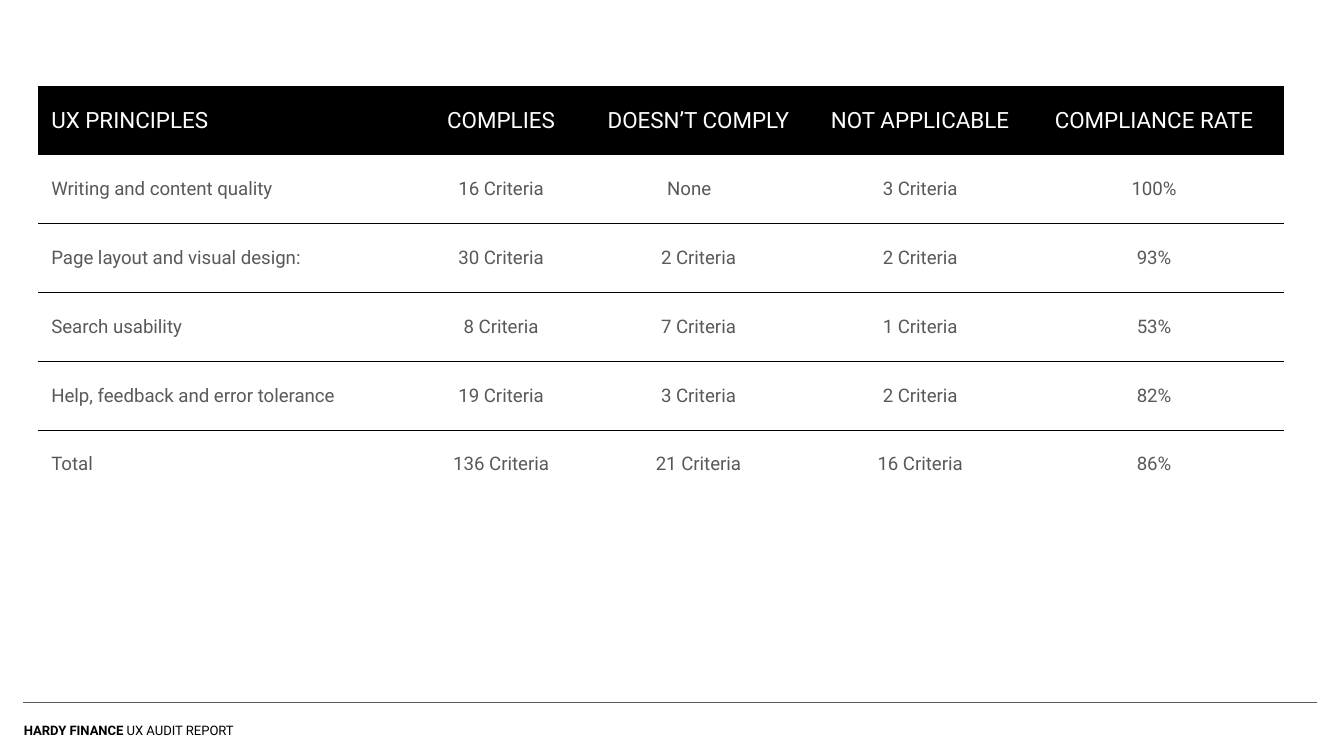
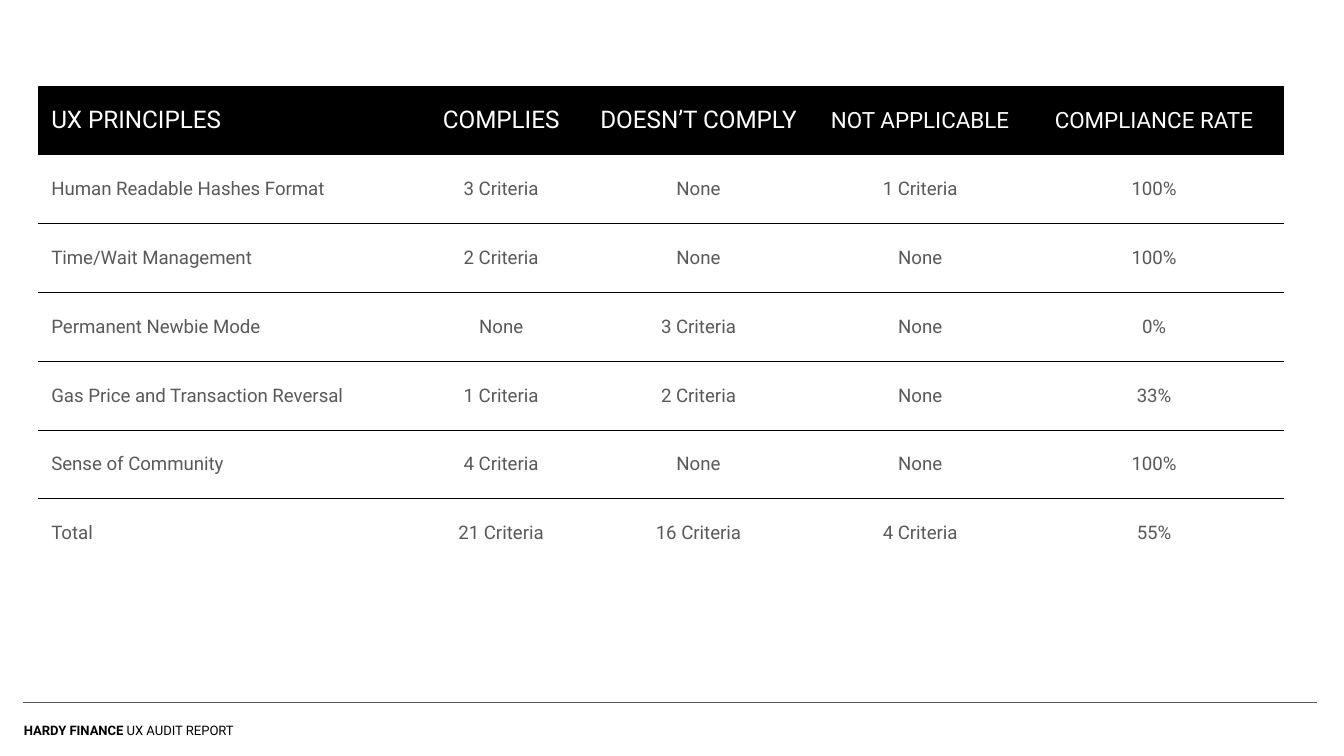
from dataclasses import dataclass
from typing import Any

import pptx
import pptx.dml.color
import pptx.enum.shapes
import pptx.enum.text
import pptx.oxml
import pptx.oxml.ns
import pptx.slide
import pptx.table
import pptx.text.text
import pptx.util

Cm = pptx.util.Cm
Pt = pptx.util.Pt
Align = pptx.enum.text.PP_ALIGN

HUES = {"ink": "000000", "paper": "FFFFFF", "text": "595959"}
FONT = "Roboto"
PLAIN = "{2D5ABB26-0587-4C30-8999-92F81FD0307C}"  # table style without grid

LEFT, TOP, ROW = 0.72, 1.63, 1.3
WIDTHS = (7.24, 3.02, 4.44, 3.94, 4.9)
HEADS = ("UX PRINCIPLES", "COMPLIES", "DOESN’T COMPLY",
         "NOT APPLICABLE", "COMPLIANCE RATE")
PAD = 0.25
FOOT = 13.28
INDENT = 1.63


@dataclass(frozen=True)
class Audit:
    sizes: tuple[int, ...]
    rows: tuple[tuple[str, ...], ...]
    indents: tuple[tuple[int, int], ...] = ()


AUDITS = (
    Audit(
        (12, 12, 12, 12, 12),
        (
            ("Writing and content quality", "16 Criteria", "None", "3 Criteria", "100%"),
            ("Page layout and visual design:", "30 Criteria", "2 Criteria", "2 Criteria", "93%"),
            ("Search usability", "8 Criteria", "7 Criteria", "1 Criteria", "53%"),
            ("Help, feedback and error tolerance", "19 Criteria", "3 Criteria", "2 Criteria", "82%"),
            ("Total", "136 Criteria", "21 Criteria", "16 Criteria", "86%"),
        ),
        indents=((1, 2),),
    ),
    Audit(
        (13, 13, 13, 12, 12),
        (
            ("Human Readable Hashes Format", "3 Criteria", "None", "1 Criteria", "100%"),
            ("Time/Wait Management", "2 Criteria", "None", "None", "100%"),
            ("Permanent Newbie Mode", "None", "3 Criteria", "None", "0%"),
            ("Gas Price and Transaction Reversal", "1 Criteria", "2 Criteria", "None", "33%"),
            ("Sense of Community", "4 Criteria", "None", "None", "100%"),
            ("Total", "21 Criteria", "16 Criteria", "4 Criteria", "55%"),
        ),
    ),
)


def style(item: Any, values: dict[str, Any]) -> None:
    for name, value in values.items():
        setattr(item, name, value)


def hue(name: str) -> pptx.dml.color.RGBColor:
    return pptx.dml.color.RGBColor.from_string(HUES[name])


def add_run(para: Any, text: str, size: int, tint: str, bold: bool = False) -> None:
    run = para.add_run()
    run.text = text
    style(run.font, {"name": FONT, "size": Pt(size), "bold": bold})
    run.font.color.rgb = hue(tint)


def set_cell(cell: Any, text: str, size: int, tint: str,
             first: bool, head: bool, indent: bool) -> None:
    side = PAD if first or head else 0
    rim = 0.18 if head else 0
    style(cell, {
        "margin_left": Cm(INDENT if indent else side),
        "margin_right": Cm(side),
        "margin_top": Cm(rim),
        "margin_bottom": Cm(rim),
        "vertical_anchor": pptx.enum.text.MSO_ANCHOR.MIDDLE,
    })
    para = cell.text_frame.paragraphs[0]
    para.alignment = Align.LEFT if first or indent else Align.CENTER
    add_run(para, text, size, tint)
    if head:
        cell.fill.solid()
        cell.fill.fore_color.rgb = hue("ink")
    else:
        cell.fill.background()


def rule_off(cell: Any) -> None:
    """Draw a line below the cell."""
    line = pptx.oxml.parse_xml(
        f'<a:lnB {pptx.oxml.ns.nsdecls("a")} w="{Pt(0.75)}"><a:solidFill>'
        f'<a:srgbClr val="{HUES["ink"]}"/></a:solidFill></a:lnB>')
    cell._tc.get_or_add_tcPr().insert(0, line)


def add_audit(slide: pptx.slide.Slide, audit: Audit) -> None:
    count = len(audit.rows) + 1
    frame = slide.shapes.add_table(
        count, len(WIDTHS), Cm(LEFT), Cm(TOP), Cm(sum(WIDTHS)), Cm(ROW * count))
    table = frame.table
    style(table, {"first_row": False, "horz_banding": False})
    table._tbl.tblPr.find(pptx.oxml.ns.qn("a:tableStyleId")).text = PLAIN
    for col, width in zip(table.columns, WIDTHS):
        col.width = Cm(width)
    for row in table.rows:
        row.height = Cm(ROW)
    for r, texts in enumerate((HEADS, *audit.rows)):
        head = r == 0
        for c, text in enumerate(texts):
            cell = table.cell(r, c)
            set_cell(cell, text, audit.sizes[c] if head else 10,
                     "paper" if head else "text",
                     c == 0, head, (r, c) in audit.indents)
            if 0 < r < count - 1:
                rule_off(cell)


def add_foot(slide: pptx.slide.Slide) -> None:
    box = slide.shapes.add_textbox(Cm(0.2), Cm(FOOT), Cm(5.26), Cm(0.81))
    sides = ("left", "right", "top", "bottom")
    style(box.text_frame, {"word_wrap": True}
          | {f"margin_{side}": Cm(PAD) for side in sides})
    para = box.text_frame.paragraphs[0]
    para.line_spacing = 1.5
    add_run(para, "HARDY FINANCE", 7, "ink", bold=True)
    add_run(para, " UX AUDIT REPORT", 7, "ink")

    line = slide.shapes.add_connector(
        pptx.enum.shapes.MSO_CONNECTOR.STRAIGHT,
        Cm(0.43), Cm(FOOT), Cm(24.89), Cm(FOOT))
    line.line.width = Pt(0.75)
    line.line.color.rgb = hue("text")
    line._element.spPr.append(pptx.oxml.parse_xml(
        f'<a:effectLst {pptx.oxml.ns.nsdecls("a")}/>'))


def main() -> None:
    deck = pptx.Presentation()
    style(deck, {"slide_width": Cm(25.4), "slide_height": Cm(14.29)})
    blank = deck.slide_layouts.get_by_name("Blank")
    for audit in AUDITS:
        slide = deck.slides.add_slide(blank)
        add_foot(slide)
        add_audit(slide, audit)
    deck.save("out.pptx")


if __name__ == "__main__":
    main()
